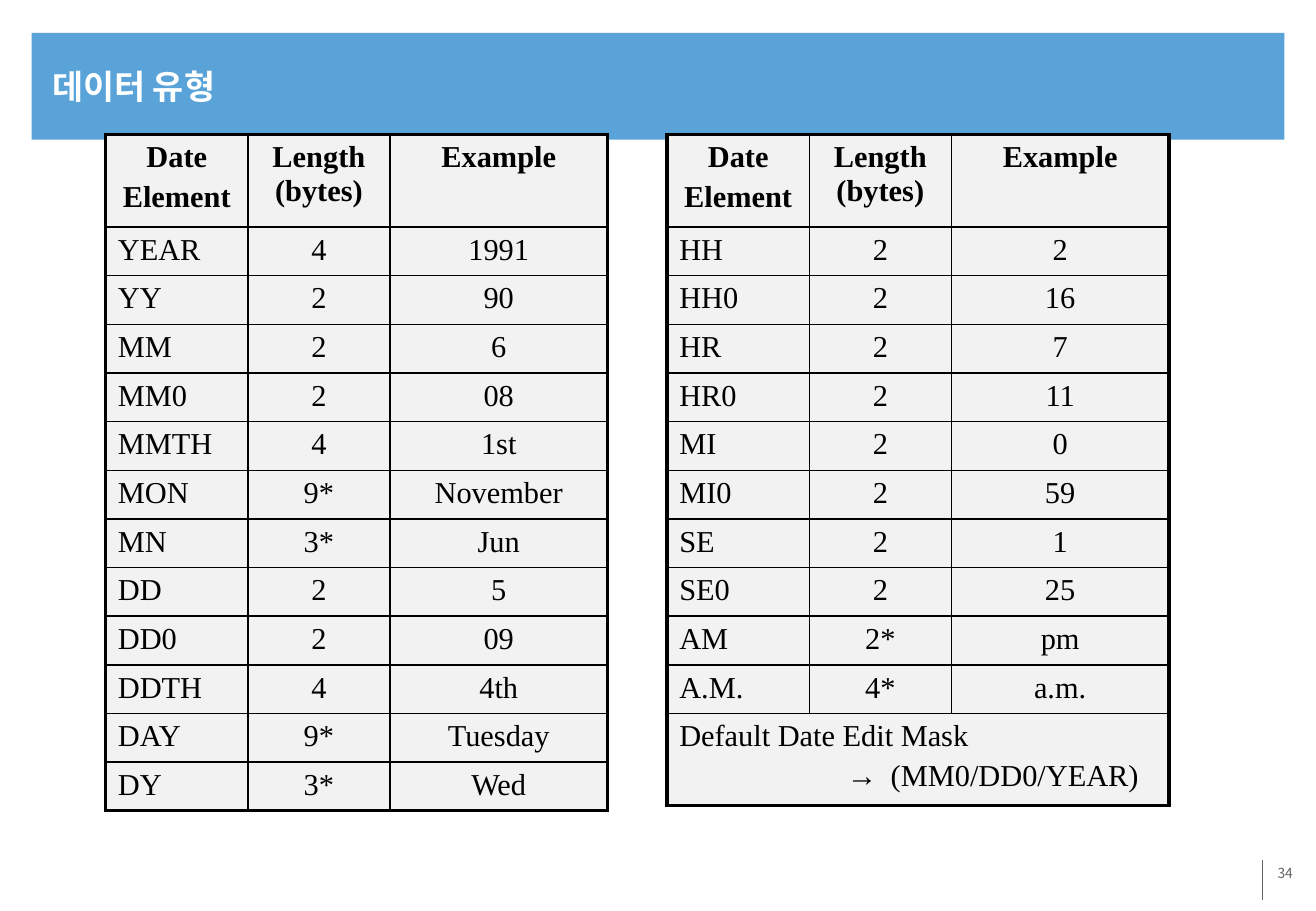
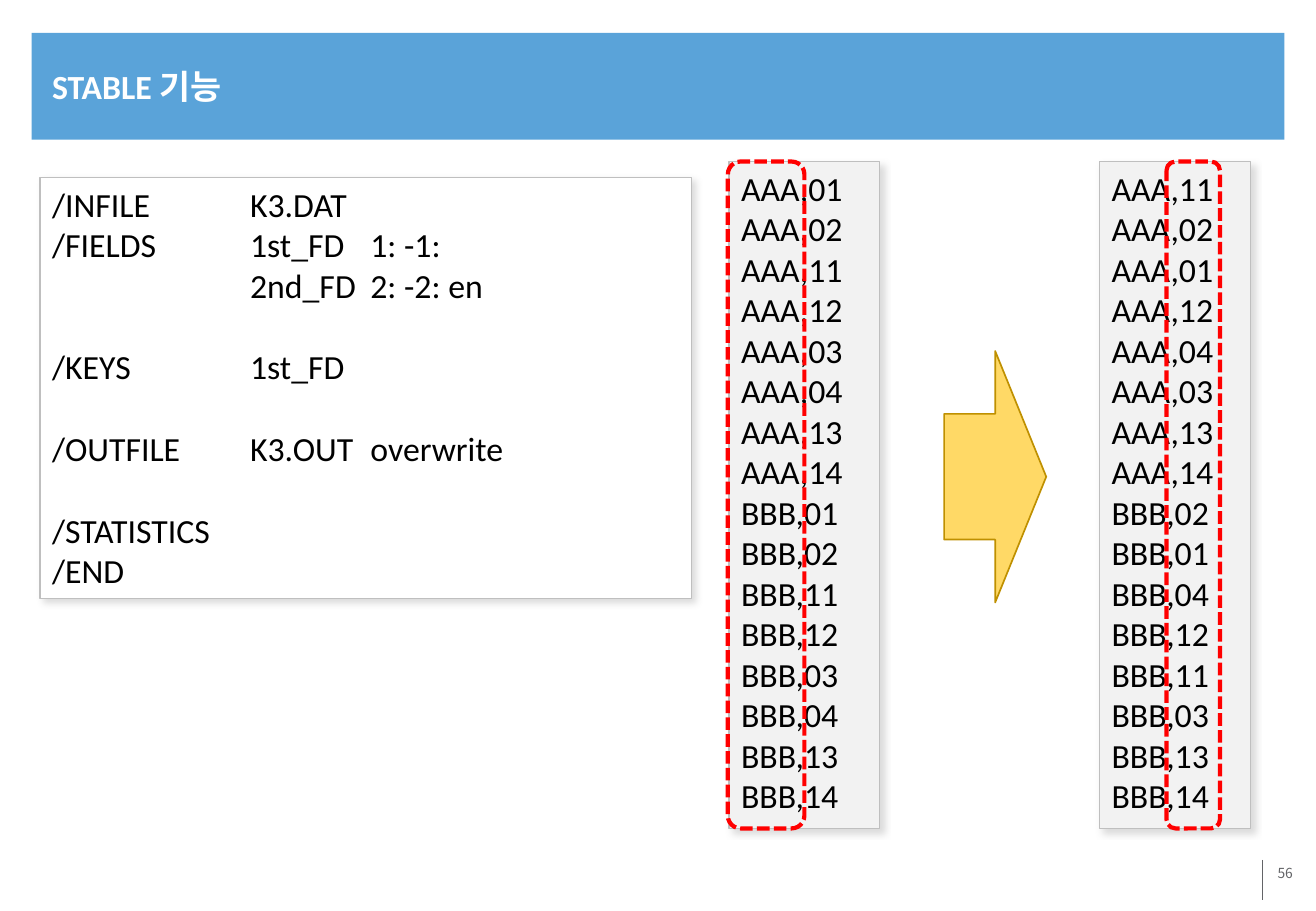
from dataclasses import dataclass
from lxml import etree
from pptx import Presentation
from pptx import util as u
from pptx.dml.color import RGBColor
from pptx.enum import dml, shapes, text
from pptx.oxml import ns

Inches, Pt = u.Inches, u.Pt
LEFT, MID, RIGHT = text.PP_ALIGN.LEFT, text.PP_ALIGN.CENTER, text.PP_ALIGN.RIGHT
FORM = shapes.MSO_SHAPE


@dataclass(frozen=True)
class Type:
    font: str
    size: float
    color: str
    bold: bool = False


class Theme:
    band, rule, edge = "5AA3D9", "636467", "BFBFBF"
    white, pale, ink, shade = "FFFFFF", "F2F2F2", "000000", "A6A6A6"
    mark, gold, rim = "FF0000", "FFD966", "BF9000"
    title = Type("Calibri", 20, white, True)
    body = Type("Calibri", 20, ink)
    page = Type("Noto Sans CJK KR", 8.2, rule)
    cell = Type("Times New Roman", 18, ink)
    head = Type("Times New Roman", 18, ink, True)
    thick, thin = 2.25, 1


def rgb(code):
    return RGBColor.from_string(code)


def sub(node, tag, **attrs):
    return etree.SubElement(node, ns.qn(tag), {k: str(v) for k, v in attrs.items()})


def put(frame, lines, style, align=LEFT, tabs=(), gap=0):
    """Write lines; an empty line becomes one line of space before the next."""
    frame.word_wrap = True
    para, space = None, 0
    for line in lines:
        if not line:
            space = style.size * 1.22
            continue
        para = frame.add_paragraph() if para is not None else frame.paragraphs[0]
        para.text, para.alignment = line, align
        if space:
            para.space_before = Pt(space)
        space = gap
        for run in para.runs:
            font = run.font
            for key, val in dict(name=style.font, size=Pt(style.size), bold=style.bold).items():
                setattr(font, key, val)
            font.color.rgb = rgb(style.color)
        if tabs:
            stops = sub(para._p.get_or_add_pPr(), "a:tabLst")
            for pos in tabs:
                sub(stops, "a:tab", pos=Inches(pos), algn="l")


def label(slide, box, line, style, align=LEFT, **form):
    frame = slide.shapes.add_textbox(*map(Inches, box)).text_frame
    for key, val in form.items():
        setattr(frame, key, val)
    put(frame, [line], style, align)


def draw(slide, form, box, fill=None, line=None, width=0.75):
    item = slide.shapes.add_shape(form, *map(Inches, box))
    item.shadow.inherit = False
    if fill:
        item.fill.solid()
        item.fill.fore_color.rgb = rgb(fill)
    else:
        item.fill.background()
    if line:
        item.line.color.rgb, item.line.width = rgb(line), Pt(width)
    else:
        item.line.fill.background()
    return item


def base(deck, title, page):
    """Add a slide with the title band and the page number."""
    slide = deck.slides.add_slide(deck.slide_layouts[6])
    draw(slide, FORM.RECTANGLE, (0.26, 0.27, 10.31, 0.88), Theme.band)
    pad = dict(margin_left=Inches(0.07), margin_right=Inches(0.07),
               margin_top=Inches(0.04), margin_bottom=Inches(0.04))
    label(slide, (8.88, 7.08, 1.83, 0.5), page, Theme.page, RIGHT, **pad)
    rule = slide.shapes.add_connector(shapes.MSO_CONNECTOR.STRAIGHT,
                                      *map(Inches, (10.39, 7.08, 10.39, 7.41)))
    rule.line.color.rgb, rule.line.width = rgb(Theme.rule), Pt(0.75)
    sub(rule._element.spPr, "a:effectLst")
    label(slide, (0.33, 0.31, 10.2, 0.79), title, Theme.title,
          vertical_anchor=text.MSO_ANCHOR.MIDDLE)
    return slide


def frame(cell, sides):
    """Set the cell's borders from widths by side, then its fill."""
    props = cell._tc.get_or_add_tcPr()
    for side, width in sides.items():
        line = sub(props, "a:ln" + side, w=Pt(width))
        sub(sub(line, "a:solidFill"), "a:srgbClr", val=Theme.ink)
    cell.fill.solid()
    cell.fill.fore_color.rgb = rgb(Theme.pale)


def grid(slide, left, top, rows, note=()):
    """Table of date elements; a note fills a merged last row."""
    widths = (1.17, 1.17, 1.79)
    heads = (["Date", "Element"], ["Length\v(bytes)"], ["Example"])
    cells = [heads] + [[[word] for word in row.split()] for row in rows]
    highs = [0.76] + [0.4] * len(rows)
    if note:
        cells.append([note])
        highs.append(0.76)
    table = slide.shapes.add_table(
        len(cells), len(widths), *map(Inches, (left, top, sum(widths), sum(highs)))).table
    table.first_row = table.horz_banding = False
    for col, width in zip(table.columns, widths):
        col.width = Inches(width)
    for row, high in zip(table.rows, highs):
        row.height = Inches(high)
    end = len(cells) - 1
    if note:
        table.cell(end, 0).merge(table.cell(end, 2))
    for r, row in enumerate(cells):
        for c, lines in enumerate(row):
            cell = table.cell(r, c)
            edges = dict(L=c == 0, R=c == len(row) - 1, T=r == 0, B=r == end)
            frame(cell, {k: Theme.thick if out else Theme.thin for k, out in edges.items()})
            put(cell.text_frame, lines, Theme.cell if r else Theme.head,
                LEFT if r and c == 0 else MID,
                (1.38, 1.74) if len(row) == 1 else (), 3.6)


def panel(slide, box, lines, fill, tabs=()):
    """Bordered text box with a soft shadow."""
    item = draw(slide, FORM.RECTANGLE, box, fill, Theme.edge)
    glow = sub(item._element.spPr.find(ns.qn("a:effectLst")), "a:outerShdw",
               blurRad=Pt(4), dist=Pt(3), dir=45 * 60000, algn="tl", rotWithShape=0)
    sub(sub(glow, "a:srgbClr", val=Theme.shade), "a:alpha", val=40000)
    item.text_frame.vertical_anchor = text.MSO_ANCHOR.TOP
    put(item.text_frame, lines, Theme.body, tabs=tabs)


def data(slide, left, top, first, second):
    """Sixteen records: AAA with the first numbers, BBB with the second."""
    lines = [f"{key},{num}" for key, nums in (("AAA", first), ("BBB", second))
             for num in nums.split()]
    panel(slide, (left, top, 1.24, 5.49), lines, Theme.pale)


def ring(slide, left, top, width):
    item = draw(slide, FORM.ROUNDED_RECTANGLE, (left, top, width, 5.49),
                None, Theme.mark, 2.5)
    item.line.dash_style = dml.MSO_LINE.SQUARE_DOT


def dates(deck):
    slide = base(deck, "데이터 유형", "34")
    grid(slide, 0.87, 1.11, [
        "YEAR 4 1991", "YY 2 90", "MM 2 6", "MM0 2 08", "MMTH 4 1st", "MON 9* November",
        "MN 3* Jun", "DD 2 5", "DD0 2 09", "DDTH 4 4th", "DAY 9* Tuesday", "DY 3* Wed"])
    grid(slide, 5.49, 1.11, [
        "HH 2 2", "HH0 2 16", "HR 2 7", "HR0 2 11", "MI 2 0", "MI0 2 59",
        "SE 2 1", "SE0 2 25", "AM 2* pm", "A.M. 4* a.m."],
        ["Default Date Edit Mask", "\t→\t(MM0/DD0/YEAR)"])


def stable(deck):
    slide = base(deck, "STABLE 기능", "56")
    panel(slide, (0.33, 1.46, 5.36, 3.47), [
        "/INFILE\tK3.DAT", "/FIELDS\t1st_FD\t1: -1:", "\t2nd_FD\t2: -2: en", "",
        "/KEYS\t1st_FD", "", "/OUTFILE\tK3.OUT\toverwrite", "",
        "/STATISTICS", "/END"], Theme.white, (1.63, 2.62))
    top = 1.33
    data(slide, 6, top, "01 02 11 12 03 04 13 14", "01 02 11 12 03 04 13 14")
    draw(slide, FORM.RIGHT_ARROW, (7.77, 2.89, 0.84, 2.07), Theme.gold, Theme.rim, 1)
    data(slide, 9.05, top, "11 02 01 12 04 03 13 14", "02 01 04 12 11 03 13 14")
    ring(slide, 5.99, top, 0.63)
    ring(slide, 9.6, top, 0.44)


def main():
    deck = Presentation()
    deck.slide_width, deck.slide_height = Inches(10.83), Inches(7.5)
    dates(deck)
    stable(deck)
    deck.save("out.pptx")


if __name__ == "__main__":
    main()
